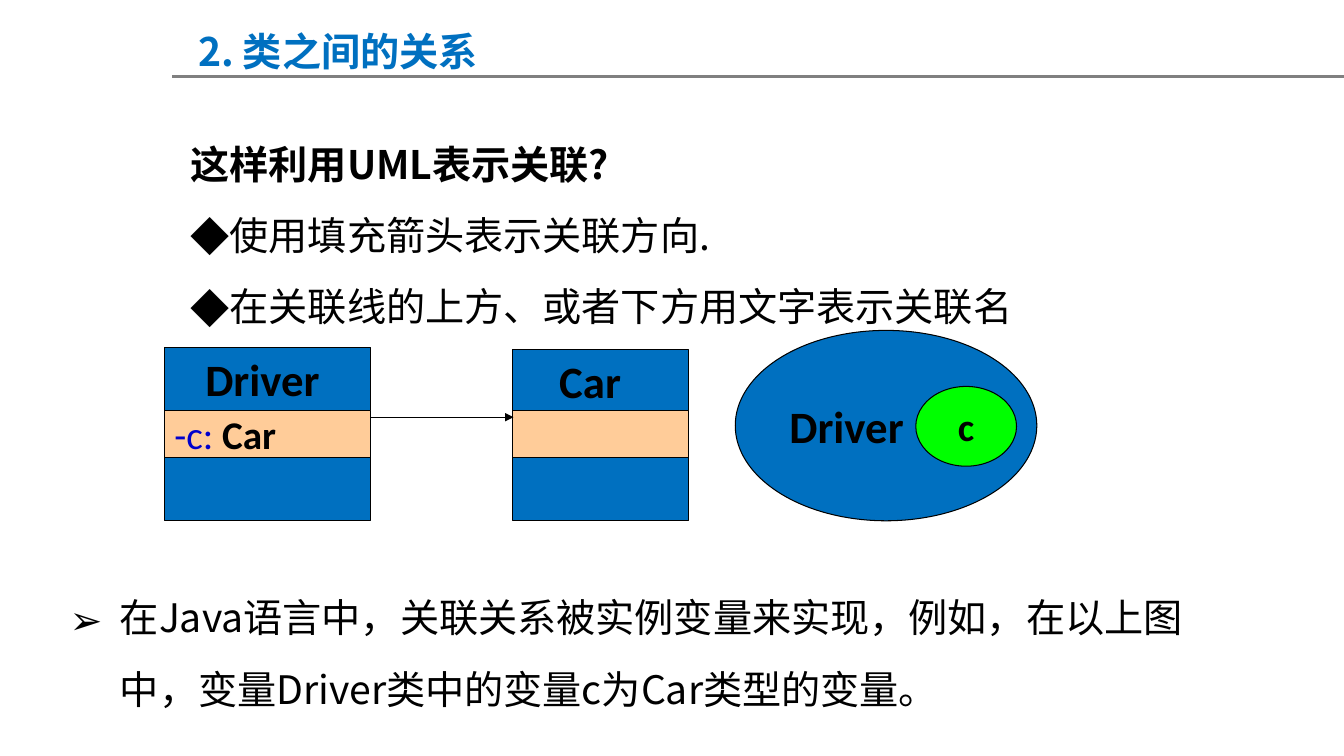
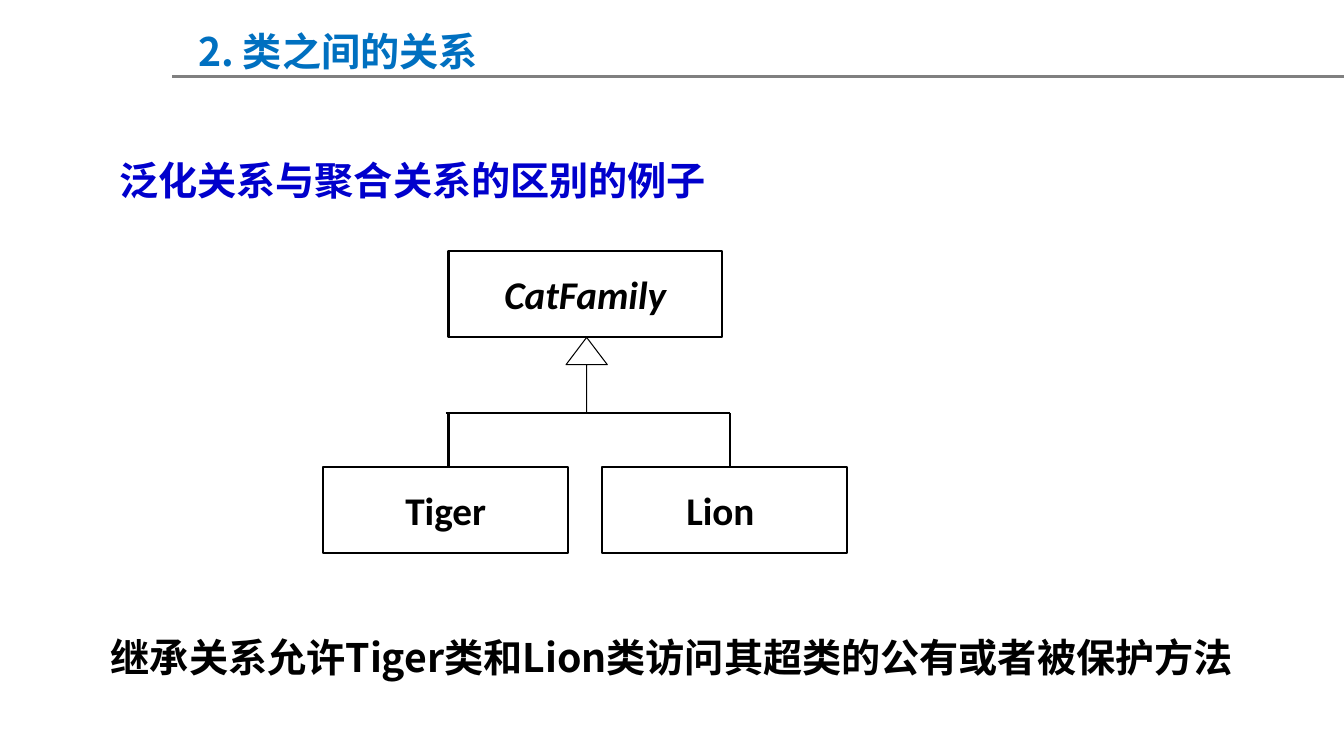
from lxml import etree
from pptx import Presentation
from pptx.dml.color import RGBColor
from pptx.enum.shapes import MSO_CONNECTOR, MSO_SHAPE
from pptx.enum.text import MSO_ANCHOR, MSO_AUTO_SIZE, PP_ALIGN
from pptx.oxml.ns import qn
from pptx.util import Pt

LEFT, CENTER = PP_ALIGN.LEFT, PP_ALIGN.CENTER
TOP, MIDDLE = MSO_ANCHOR.TOP, MSO_ANCHOR.MIDDLE
FIXED = MSO_AUTO_SIZE.NONE
STRAIGHT = MSO_CONNECTOR.STRAIGHT
RECT, OVAL, ARROW = MSO_SHAPE.RECTANGLE, MSO_SHAPE.OVAL, MSO_SHAPE.UP_ARROW

COLORS = {
    "black": "000000",
    "white": "FFFFFF",
    "gray": "808080",
    "blue": "0070C0",
    "navy": "0000CC",
    "peach": "FFCC99",
    "green": "00FF00",
}
HAN, LATIN = "Noto Sans CJK SC", "Calibri"
TITLE = "2. 类之间的关系"
SINGLE, WIDE = 34, 51


def color(name):
    return RGBColor.from_string(COLORS[name])


def write(par, text, size=28, font=HAN, ink="black", bold=False,
          italic=False, align=LEFT, lead=None):
    par.alignment = align
    par.space_before = Pt(0)
    if lead:
        par.line_spacing = Pt(lead)
    run = par.add_run()
    run.text = text
    run.font.size = Pt(size)
    run.font.bold = bold
    run.font.italic = italic
    run.font.color.rgb = color(ink)
    run.font.name = font
    east = etree.SubElement(run.font._element, qn("a:ea"))
    east.set("typeface", HAN)


def bullet(par, mark=None, hang=0):
    props = par._p.get_or_add_pPr()
    props.set("marL", str(Pt(hang)))
    props.set("indent", str(-Pt(hang)))
    if mark:
        etree.SubElement(props, qn("a:buFont")).set("typeface", HAN)
        etree.SubElement(props, qn("a:buChar")).set("char", mark)
    else:
        etree.SubElement(props, qn("a:buNone"))


def place(holder, left, top, width, height):
    holder.left, holder.top = Pt(left), Pt(top)
    holder.width, holder.height = Pt(width), Pt(height)
    frame = holder.text_frame
    frame.word_wrap = True
    frame.auto_size = FIXED
    frame.vertical_anchor = TOP
    return frame


def fill(holder, area, items, **style):
    frame = place(holder, *area)
    for index, (text, mark, hang, bold) in enumerate(items):
        par = frame.add_paragraph() if index else frame.paragraphs[0]
        bullet(par, mark, hang)
        write(par, text, bold=bold, **style)


def line(shapes, x1, y1, x2, y2, ink="black", weight=1.5, head=False):
    link = shapes.add_connector(STRAIGHT, Pt(x1), Pt(y1), Pt(x2), Pt(y2))
    link.line.color.rgb = color(ink)
    link.line.width = Pt(weight)
    if head:
        stroke = link.line._get_or_add_ln()
        etree.SubElement(stroke, qn("a:tailEnd")).set("type", "triangle")
    etree.SubElement(link._element.spPr, qn("a:effectLst"))
    return link


def box(shapes, kind, left, top, width, height, paint, weight=0.75):
    shape = shapes.add_shape(kind, Pt(left), Pt(top), Pt(width), Pt(height))
    shape.shadow.inherit = False
    shape.fill.solid()
    shape.fill.fore_color.rgb = color(paint)
    shape.line.color.rgb = color("black")
    shape.line.width = Pt(weight)
    shape.text_frame.word_wrap = True
    shape.text_frame.vertical_anchor = MIDDLE
    return shape


def label(shape, text, size=28, align=CENTER, bold=True, **style):
    write(shape.text_frame.paragraphs[0], text, size=size, font=LATIN,
          align=align, bold=bold, **style)


def table(shapes, left, width, top):
    edges = [top, 293, 327, 372]
    paints = ["blue", "peach", "blue"]
    return [box(shapes, RECT, left, start, width, end - start, paint)
            for start, end, paint in zip(edges, edges[1:], paints)]


def start(deck, layout):
    slide = deck.slides.add_slide(layout)
    frame = place(slide.shapes.title, 134.5, 15.5, 493, 41)
    write(frame.paragraphs[0], TITLE, ink="blue", bold=True, lead=SINGLE)
    return slide


def link_slide(deck, layout):
    slide = start(deck, layout)
    shapes = slide.shapes
    fill(slide.placeholders[1], (129, 79, 657, 154), [
        ("这样利用UML表示关联?", None, 0, True),
        ("使用填充箭头表示关联方向.", "◆", 28, False),
        ("在关联线的上方、或者下方用文字表示关联名", "◆", 28, False),
    ], lead=WIDE)

    name, field, _ = table(shapes, 117.5, 147.5, 248)
    label(name, "Driver ", size=32)
    label(field, "-c: ", align=LEFT, bold=False, ink="navy")
    label(field, "Car", align=LEFT)

    name = table(shapes, 366.5, 125.5, 250)[0]
    name.text_frame.margin_left = 0
    name.text_frame.margin_right = Pt(15)
    label(name, "Car", size=32)

    group = shapes.add_group_shape().shapes
    outer = box(group, OVAL, 525.5, 236, 215.5, 136, "blue")
    label(outer, "Driver", size=32, align=LEFT)
    inner = box(group, OVAL, 654.5, 276, 72, 57, "green")
    label(inner, "c")

    line(shapes, 265, 298, 367, 298, weight=0.75, head=True)
    fill(slide.placeholders[2], (42.5, 403, 834.5, 109), [
        ("在Java语言中，关联关系被实例变量来实现，例如，在以上图中，"
         "变量Driver类中的变量c为Car类型的变量。", "➢", 36, False),
    ], lead=WIDE)


def tree_slide(deck, layout):
    slide = start(deck, layout)
    shapes = slide.shapes
    fill(slide.placeholders[1], (78, 107.5, 550, 41),
         [("泛化关系与聚合关系的区别的例子", None, 0, True)],
         font=LATIN, ink="navy", lead=SINGLE)
    fill(slide.placeholders[2], (72, 448.5, 824.5, 75),
         [("继承关系允许Tiger类和Lion类访问其超类的公有或者被保护方法",
           None, 0, True)], lead=SINGLE)

    for text, left, top, width, italic in [
        ("CatFamily", 320.5, 179.5, 195.5, True),
        ("Tiger", 231, 333.5, 175, False),
        ("Lion ", 430.5, 333.5, 175, False),
    ]:
        node = box(shapes, RECT, left, top, width, 61.5, "white", 1.5)
        label(node, text, italic=italic)

    line(shapes, 318.5, 295, 522, 295)
    for x in (320.5, 522):
        line(shapes, x, 295, x, 333.5)
    arrow = box(shapes, ARROW, 404.5, 241, 29.5, 54, "white")
    arrow.adjustments[0] = 0
    arrow.adjustments[1] = 0.66


def main():
    deck = Presentation()
    deck.slide_width, deck.slide_height = Pt(960.5), Pt(540)
    layout = deck.slide_layouts[3]
    link_slide(deck, layout)
    tree_slide(deck, layout)
    rule = line(deck.slides[0].shapes, 123, 54.5, 960.5, 54.5, "gray", 2)
    layout.shapes._spTree.append(rule._element)
    deck.save("out.pptx")


if __name__ == "__main__":
    main()
